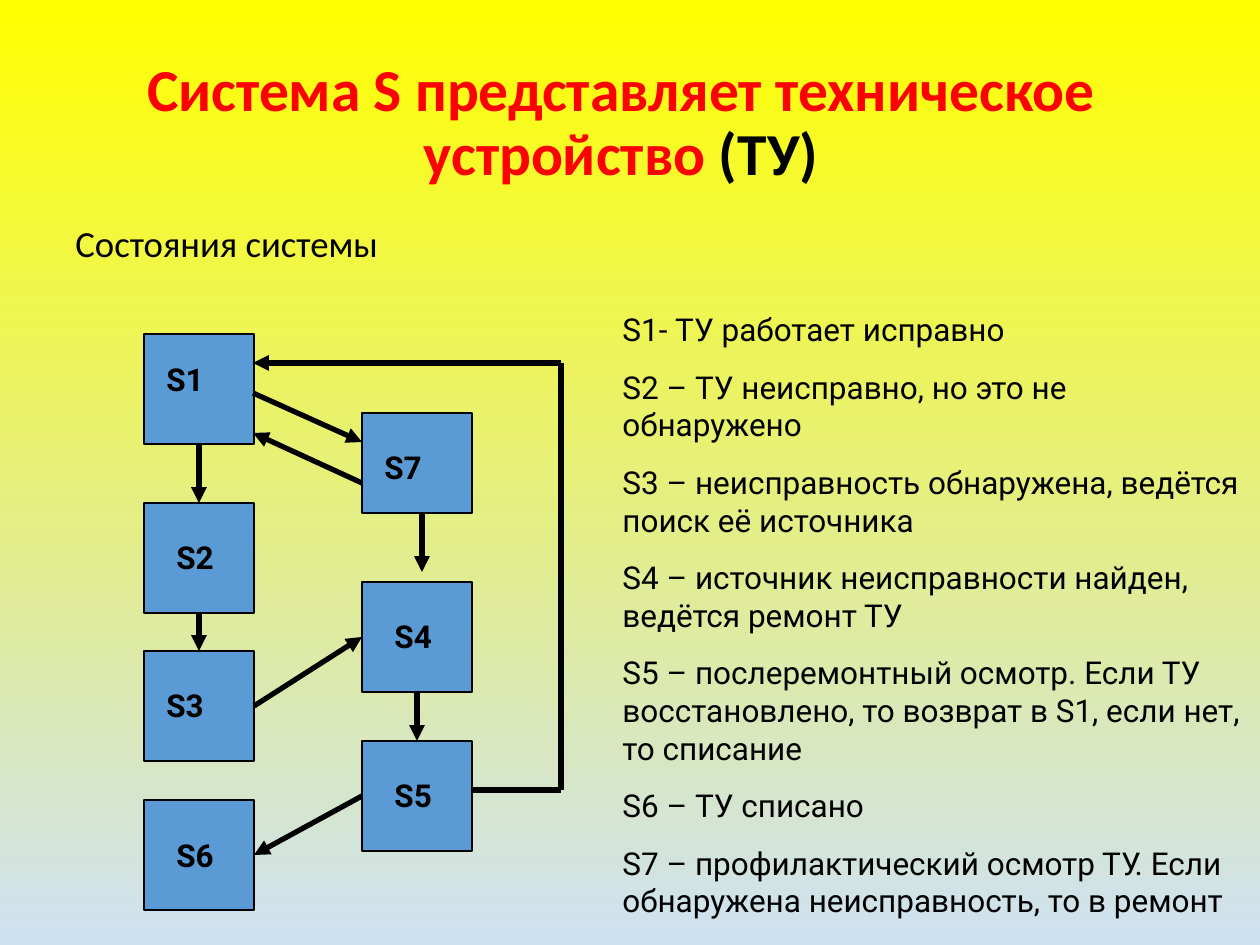
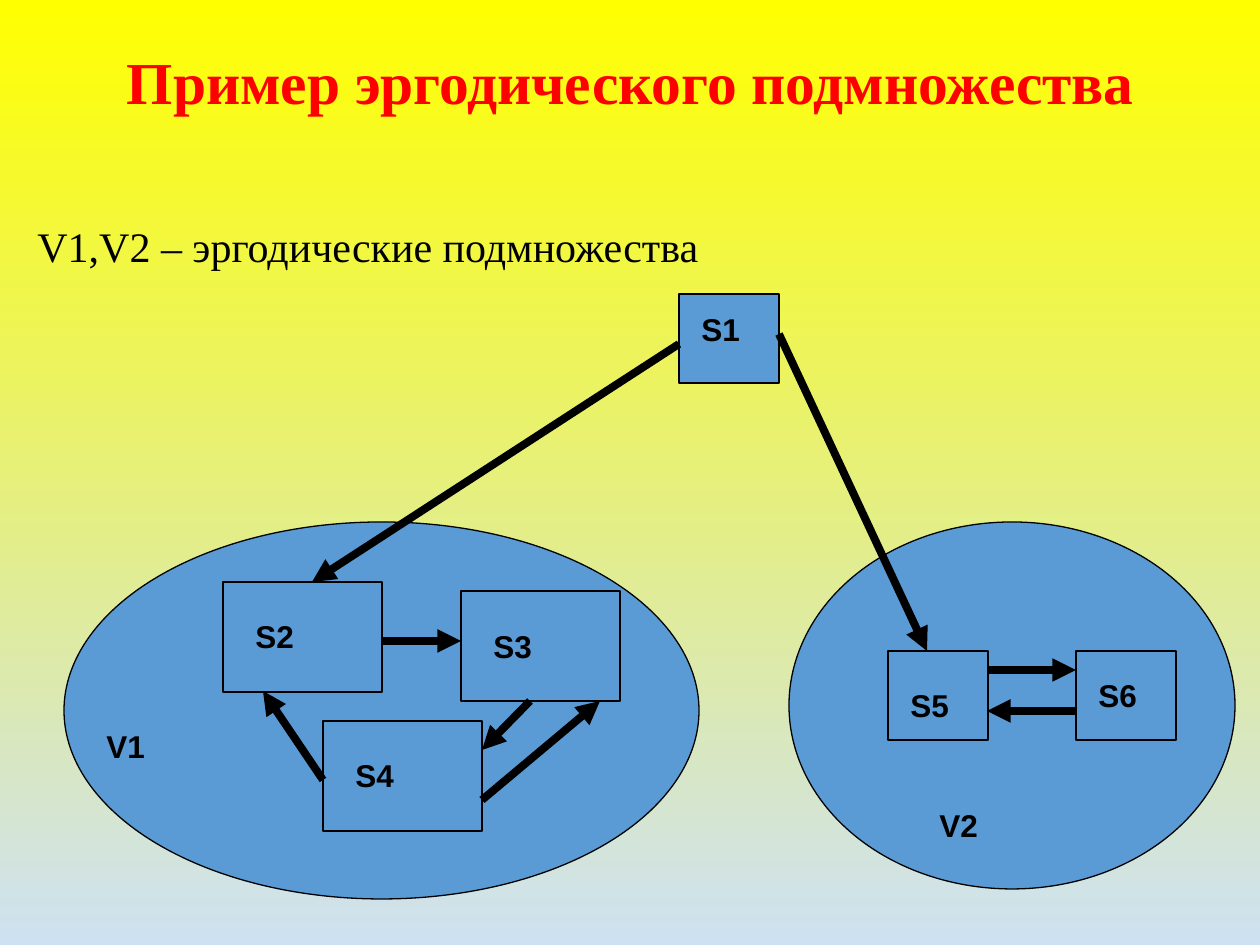
from dataclasses import dataclass, field

from lxml import etree
from pptx import Presentation
from pptx.dml.color import RGBColor
from pptx.enum import shapes, text
from pptx.oxml.ns import qn
from pptx import util as u

SCALE = 914400 / 126  # EMU in one px
RECT = shapes.MSO_SHAPE.RECTANGLE
OVAL = shapes.MSO_SHAPE.OVAL
TOP, LEFT, RIGHT, BASE = 0, 1, 3, 2


# Theme
@dataclass(frozen=True)
class Theme:
    sky: str = "FFFF00"
    ground: str = "CEE1F2"
    red: str = "FF0000"
    ink: str = "000000"
    fill: str = "5B9BD5"
    title: int = 34
    label: int = 18
    edge: float = 0.75


THEME = Theme()


# Parts of a state graph
@dataclass(frozen=True)
class Node:
    name: str
    x: int
    y: int
    w: int
    h: int
    dx: int  # label offset from the node's corner
    dy: int
    wide: int  # label width
    kind: int = RECT


@dataclass(frozen=True)
class Link:
    start: tuple  # (x, y) or (node name, side)
    end: tuple
    head: bool = True


@dataclass(frozen=True)
class Run:
    words: str
    color: str = THEME.ink


@dataclass(frozen=True)
class Block:
    box: tuple
    paras: list
    size: int
    font: str
    style: dict = field(default_factory=dict)
    bold: bool = False
    grow: bool = False
    middle: bool = False


@dataclass(frozen=True)
class Page:
    blocks: list
    nodes: list
    links: list
    weight: float
    font: str


TIGHT = {"line_spacing": 0.9}
HEAD = {**TIGHT, "alignment": text.PP_ALIGN.CENTER}
BODY = {**TIGHT, "space_before": u.Pt(7.5)}
NOTE = {"space_before": u.Pt(11.2)}


# Drawing
def px(n: int) -> int:
    return round(n * SCALE)


def put(obj, vals: dict) -> None:
    for key, val in vals.items():
        setattr(obj, key, val)


def rgb(code: str) -> RGBColor:
    return RGBColor.from_string(code)


def write(slide, block: Block) -> None:
    frame = slide.shapes.add_textbox(*map(px, block.box)).text_frame
    fit = text.MSO_AUTO_SIZE
    anchor = text.MSO_ANCHOR
    put(frame, {
        "word_wrap": True,
        "auto_size": fit.SHAPE_TO_FIT_TEXT if block.grow else fit.NONE,
        "vertical_anchor": anchor.MIDDLE if block.middle else anchor.TOP,
    })
    for i, runs in enumerate(block.paras):
        para = frame.add_paragraph() if i else frame.paragraphs[0]
        put(para, block.style)
        for part in runs:
            run = para.add_run()
            run.text = part.words
            put(run.font, {"name": block.font, "size": u.Pt(block.size),
                           "bold": block.bold})
            run.font.color.rgb = rgb(part.color)


def draw(slide, node: Node):
    shape = slide.shapes.add_shape(
        node.kind, *map(px, (node.x, node.y, node.w, node.h)))
    shape.shadow.inherit = False
    shape.fill.solid()
    shape.fill.fore_color.rgb = rgb(THEME.fill)
    shape.line.color.rgb = rgb(THEME.ink)
    shape.line.width = u.Pt(THEME.edge)
    return shape


def join(slide, link: Link, made: dict, weight: float) -> None:
    spots = [(0, 0) if spot[0] in made else spot
             for spot in (link.start, link.end)]
    line = slide.shapes.add_connector(
        shapes.MSO_CONNECTOR.STRAIGHT, *(px(n) for spot in spots for n in spot))
    for spot, hook in ((link.start, line.begin_connect),
                       (link.end, line.end_connect)):
        if spot[0] in made:
            hook(made[spot[0]], spot[1])
    line.line.color.rgb = rgb(THEME.ink)
    line.line.width = u.Pt(weight)
    if link.head:
        etree.SubElement(line.line._get_or_add_ln(), qn("a:tailEnd"),
                         type="triangle")
    etree.SubElement(line._element.spPr, qn("a:effectLst"))


def paint(slide) -> None:
    fill = slide.background.fill
    fill.gradient()
    fill.gradient_angle = 270
    for stop, code in zip(fill.gradient_stops, (THEME.sky, THEME.ground)):
        stop.color.rgb = rgb(code)


def build(deck, page: Page) -> None:
    slide = deck.slides.add_slide(deck.slide_layouts[6])
    paint(slide)
    for block in page.blocks:
        write(slide, block)
    made = {node.name: draw(slide, node) for node in page.nodes}
    for link in page.links:
        join(slide, link, made, page.weight)
    for node in page.nodes:
        box = (node.x + node.dx, node.y + node.dy, node.wide, 50)
        write(slide, Block(box, [[Run(node.name)]], THEME.label, page.font,
                           NOTE, bold=True, grow=True))


def title(box: tuple, runs: list, font: str) -> Block:
    return Block(box, [runs], THEME.title, font, HEAD, bold=True, middle=True)


# Slide 1: states of a device
STATES = [
    "S1- ТУ работает исправно",
    "S2 – ТУ неисправно, но это не обнаружено",
    "S3 – неисправность обнаружена, ведётся поиск её источника",
    "S4 – источник неисправности найден, ведётся ремонт ТУ",
    "S5 – послеремонтный осмотр. Если ТУ восстановлено, то возврат в S1, "
    "если нет, то списание",
    "S6 – ТУ списано",
    "S7 – профилактический осмотр ТУ. Если обнаружена неисправность, "
    "то в ремонт",
]
COL1, COL2, SIDE = 144, 362, 110
LOOP, BACK, OUT = 561, 363, 790  # return path from S5 to S1

device = Page(
    blocks=[
        title((54, 45, 1134, 158),
              [Run("Система S представляет техническое устройство ", THEME.red),
               Run("(ТУ)")], "Calibri"),
        Block((63, 220, 1134, 724), [[Run("Состояния системы")]], 21,
              "Calibri", BODY),
        Block((610, 304, 650, 660), [[Run(s)] for s in STATES], THEME.label,
              "Roboto", NOTE, grow=True),
    ],
    nodes=[
        Node("S1", COL1, 334, SIDE, SIDE, 10, 20, 79),
        Node("S2", COL1, 503, SIDE, SIDE, 20, 29, 79),
        Node("S3", COL1, 651, SIDE, SIDE, 10, 29, 79),
        Node("S6", COL1, 800, SIDE, SIDE, 20, 30, 79),
        Node("S7", COL2, 413, SIDE, 100, 10, 29, 79),
        Node("S4", COL2, 582, SIDE, SIDE, 20, 29, 69),
        Node("S5", COL2, 741, SIDE, SIDE, 20, 29, 69),
    ],
    links=[
        Link((LOOP, BACK), (253, BACK)),
        Link((LOOP, BACK), (LOOP, OUT), head=False),
        Link((472, OUT), (LOOP, OUT), head=False),
        Link((253, 393), (362, 442)),
        Link((362, 483), (253, 433)),
        Link((422, 512), (422, 572)),
        Link(("S1", BASE), ("S2", TOP)),
        Link(("S2", BASE), ("S3", TOP)),
        Link(("S3", RIGHT), ("S4", LEFT)),
        Link(("S4", BASE), ("S5", TOP)),
        Link(("S5", LEFT), ("S6", RIGHT)),
    ],
    weight=3, font="Roboto")

# Slide 2: ergodic subsets
TIMES = "Times New Roman"
BIG = (159, 110)
SMALL = (100, 89)

subsets = Page(
    blocks=[
        title((87, 50, 1087, 71),
              [Run("Пример эргодического подмножества", THEME.red)], TIMES),
        Block((25, 220, 1235, 689),
              [[Run("V1,V2 – эргодические подмножества")]], 24, TIMES, BODY),
    ],
    nodes=[
        Node("V1", 64, 522, 635, 377, 30, 199, 90, OVAL),
        Node("S2", 223, 582, *BIG, 20, 29, 129),
        Node("S4", 323, 721, *BIG, 20, 29, 118),
        Node("S3", 461, 591, *BIG, 20, 30, 110),
        Node("V2", 789, 522, 446, 367, 138, 278, 129, OVAL),
        Node("S5", 888, 651, *SMALL, 10, 29, 69),
        Node("S6", 1076, 651, *SMALL, 10, 19, 79),
        Node("S1", 679, 294, *SMALL, 10, 10, 69),
    ],
    links=[
        Link((382, 641), (461, 641)),
        Link((323, 780), (263, 691)),
        Link((482, 800), (600, 701)),
        Link((530, 701), (482, 750)),
        Link((679, 344), (312, 582)),
        Link((779, 334), (927, 651)),
        Link((988, 670), (1076, 670)),
        Link((1076, 711), (987, 711)),
    ],
    weight=4.5, font="Arial")


def main() -> None:
    deck = Presentation()
    put(deck, {"slide_width": px(1260), "slide_height": px(945)})
    for page in (device, subsets):
        build(deck, page)
    deck.save("out.pptx")


if __name__ == "__main__":
    main()
